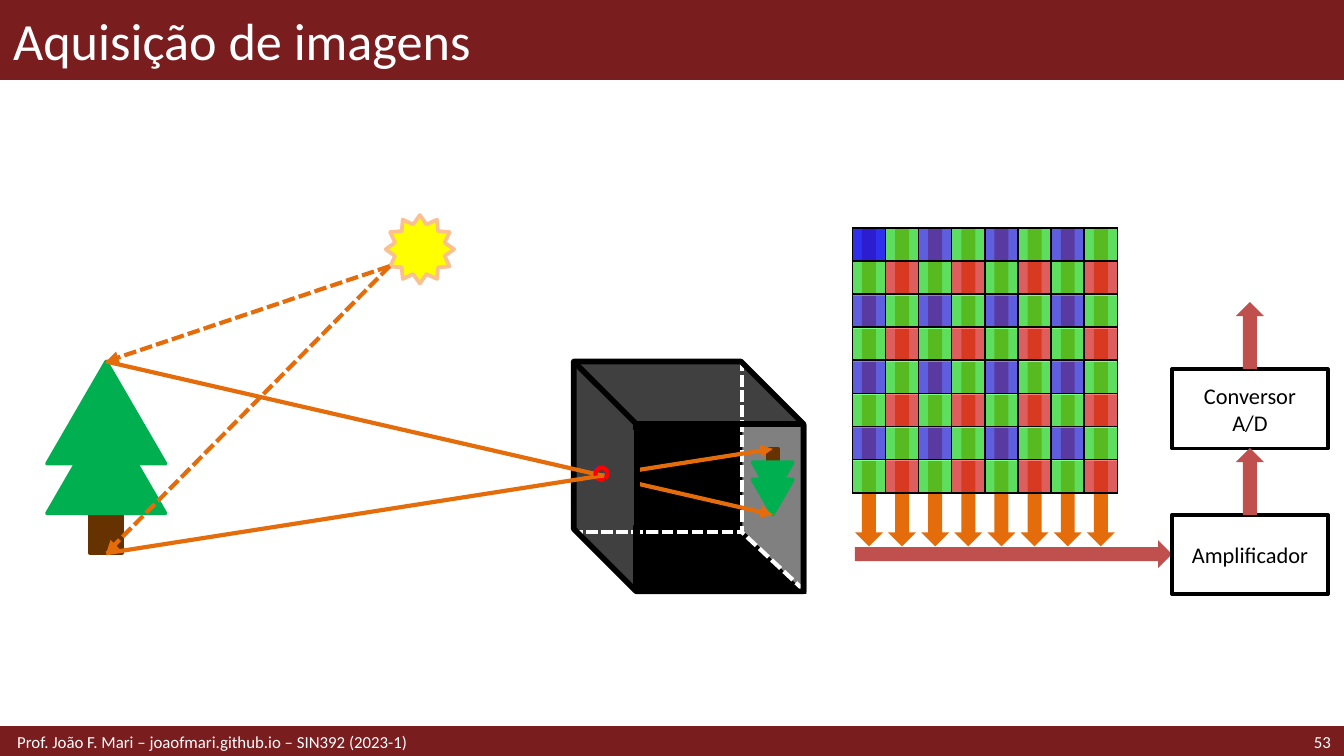
from lxml.etree import SubElement
from pptx import Presentation
from pptx.dml.color import RGBColor
from pptx.enum.dml import MSO_LINE as Dash
from pptx.enum.shapes import MSO_CONNECTOR as Connector, MSO_SHAPE as Shape
from pptx.enum.text import MSO_ANCHOR as Anchor, PP_ALIGN as Align
from pptx.oxml.ns import qn
from pptx.util import Pt

COLORS = {
    "maroon": "791D1F", "white": "FFFFFF", "black": "000000",
    "orange": "E46C0A", "brick": "C0504D", "gray": "7F7F7F",
    "wall": "404040", "screen": "808080", "trunk": "663300",
    "leaf": "00B050", "sun": "FFFF00", "glow": "FAC090",
    "red": "FF0000", "green": "00FF00", "blue": "0000FF", "navy": "1F497D",
}
CELLS = 8
CELL = 17.75
GRID_LEFT = 456.6
GRID_TOP = 122


def rgb(name):
    return RGBColor.from_string(COLORS[name])


def style_line(line, color, width, dashed=False):
    line.color.rgb = rgb(color)
    line.width = Pt(width)
    if dashed:
        line.dash_style = Dash.SQUARE_DOT


def add_shape(slide, kind, box, fill=None, line=None, width=2, rotation=0,
              flips=(), adjustments=(), dashed=False):
    shape = slide.shapes.add_shape(kind, *(Pt(value) for value in box))
    shape.shadow.inherit = False
    shape.rotation = rotation
    for index, value in enumerate(adjustments):
        shape.adjustments[index] = value
    for flip in flips:
        shape._element.spPr.find(qn("a:xfrm")).set(flip, "1")
    if fill:
        shape.fill.solid()
        shape.fill.fore_color.rgb = rgb(fill)
    else:
        shape.fill.background()
    if line:
        style_line(shape.line, line, width, dashed)
    else:
        shape.line.fill.background()
    return shape


def add_line(slide, start, end, color, width=2.25, dashed=False, arrow=False):
    connector = slide.shapes.add_connector(
        Connector.STRAIGHT, *(Pt(value) for value in (*start, *end)))
    style_line(connector.line, color, width, dashed)
    if arrow:
        SubElement(connector.line._get_or_add_ln(), qn("a:tailEnd"), type="triangle")
    SubElement(connector._element.spPr, qn("a:effectLst"))


def write(shape, text, size, color, align=Align.LEFT):
    frame = shape.text_frame
    frame.word_wrap = True
    frame.vertical_anchor = Anchor.MIDDLE
    paragraph = frame.paragraphs[0]
    paragraph.text = text
    paragraph.alignment = align
    paragraph.font.name = "Calibri"
    paragraph.font.size = Pt(size)
    paragraph.font.color.rgb = rgb(color)


def add_text(slide, box, text, size, align=Align.LEFT, inset=7.2):
    text_box = slide.shapes.add_textbox(*(Pt(value) for value in box))
    write(text_box, text, size, "white", align)
    text_box.text_frame.margin_left = Pt(inset)


def add_block(slide, top, text):
    block = add_shape(slide, Shape.RECTANGLE, (627.9, top, 83.5, 42.5), "white", "black")
    write(block, text, 12, "black", Align.CENTER)


def add_solid(parent, color, alpha=100):
    fill = SubElement(parent, qn("a:solidFill"))
    value = SubElement(fill, qn("a:srgbClr"), val=COLORS[color])
    SubElement(value, qn("a:alpha"), val=str(alpha * 1000))


def style_cell(cell, color, alpha, border):
    cell.margin_left = cell.margin_right = cell.margin_top = cell.margin_bottom = 0
    SubElement(cell.text_frame.paragraphs[0]._p, qn("a:endParaRPr"), sz="800")
    properties = cell._tc.get_or_add_tcPr()
    for side in ("a:lnL", "a:lnR", "a:lnT", "a:lnB"):
        add_solid(SubElement(properties, qn(side), w=str(Pt(1))), border)
    add_solid(properties, color, alpha)


def add_grid(slide, top, border, cell_fill):
    side = Pt(CELL * CELLS)
    table = slide.shapes.add_table(
        CELLS, CELLS, Pt(GRID_LEFT), Pt(top), side, side).table
    table.first_row = table.horz_banding = False
    for index in range(CELLS):
        table.columns[index].width = table.rows[index].height = Pt(CELL)
    for row in range(CELLS):
        for column in range(CELLS):
            style_cell(table.cell(row, column), *cell_fill(row, column), border)


def gray_fill(row, column):
    return "gray", 50


def bayer_fill(row, column):
    if (row + column) % 2:
        return "green", 50
    return ("red" if row % 2 else "blue"), (50 if row or column else 75)


def add_frame(slide):
    add_shape(slide, Shape.RECTANGLE, (0, 0, 720, 42.5), "maroon", "maroon", 1)
    add_shape(slide, Shape.RECTANGLE, (0, 390, 720, 15), "maroon", "maroon")
    add_text(slide, (0, 0, 720, 42.5), "Aquisição de imagens", 28)
    add_text(slide, (638, 389.8, 82, 15), "53", 9, Align.RIGHT)
    add_text(slide, (0, 390, 496, 15),
             "Prof. João F. Mari – joaofmari.github.io – SIN392 (2023-1)", 9, inset=9.2)


def add_sensor(slide):
    for column in range(CELLS):
        center = GRID_LEFT + CELL * (column + 0.5)
        add_shape(slide, Shape.RIGHT_ARROW, (center - 85, 200.2, 170, 15),
                  "orange", rotation=90)
    add_grid(slide, GRID_TOP + 0.4, "white", gray_fill)
    add_shape(slide, Shape.RIGHT_ARROW, (457.9, 289.4, 170, 15), "brick")
    add_block(slide, 275.8, "Amplificador")
    add_block(slide, 197.8, "Conversor A/D")
    for top in (172.3, 250.5):
        add_shape(slide, Shape.RIGHT_ARROW, (651.6, top, 36, 15), "brick", rotation=270)
    add_grid(slide, GRID_TOP, "black", bayer_fill)


def add_tree(slide, trunk, crowns, flips=()):
    add_shape(slide, Shape.RECTANGLE, trunk, "trunk", "trunk", flips=flips)
    for crown in crowns:
        add_shape(slide, Shape.ISOSCELES_TRIANGLE, crown, "leaf", "leaf", flips=flips)


def add_camera(slide):
    for left, color in ((352.8, "screen"), (262.1, "wall")):
        add_shape(slide, Shape.PARALLELOGRAM, (left, 239, 123.1, 33.3), color,
                  rotation=90, adjustments=[1.002])
    add_shape(slide, Shape.PARALLELOGRAM, (307.4, 193.7, 123.1, 33.3), "wall",
              flips=["flipH"], adjustments=[1.002])
    add_shape(slide, Shape.OVAL, (318.5, 250.2, 6.5, 6.5), line="navy", width=2.25)
    add_tree(slide, (411.1, 240.5, 5.8, 10.8),
             [(403.2, top, 21.6, 18.7) for top in (257, 247.7)], ["flipH", "flipV"])
    add_shape(slide, Shape.RECTANGLE, (307.4, 193.7, 90, 91.2), line="white", dashed=True)
    add_line(slide, (431.3, 316.8), (397.4, 285.1), "white", dashed=True)


def add_scene(slide):
    add_tree(slide, (48.2, 265.7, 17.3, 30.5),
             [(25.2, top, 63.4, 54.7) for top in (193.7, 220.3)])
    add_shape(slide, Shape.CUBE, (307.4, 193.7, 123.1, 123.1), line="black", width=3,
              flips=["flipH"], adjustments=[0.272])
    pinhole = (319, 250.6, 6.5, 6.5)
    add_shape(slide, Shape.OVAL, pinhole, line="red", width=2.25)
    add_shape(slide, Shape.STAR_12_POINT, (206.6, 115.2, 36.7, 36.7), "sun", "glow")
    sun, top, base = (208.8, 142.6), (56.9, 193.7), (56.9, 296.4)
    for start, end, dashed in ((sun, top, True), (sun, base, True),
                               (top, (414, 275.8), False), (base, (414, 240.5), False)):
        add_line(slide, start, end, "orange", dashed=dashed, arrow=True)
    add_shape(slide, Shape.RECTANGLE, (324, 230.4, 16.6, 51.1), "wall")
    add_line(slide, (341.3, 226.8), (341.3, 316.8), "black", 3)
    add_shape(slide, Shape.ARC, pinhole, line="red", width=2.25,
              adjustments=[162.74 * 0.6, 52.87 * 0.6])


def main():
    presentation = Presentation()
    presentation.slide_width, presentation.slide_height = Pt(720), Pt(405)
    slide = presentation.slides.add_slide(presentation.slide_layouts[6])
    add_shape(slide, Shape.RECTANGLE, (342, 227.5, 90, 90.7), "black")
    add_frame(slide)
    add_sensor(slide)
    add_camera(slide)
    add_scene(slide)
    presentation.save("out.pptx")


if __name__ == "__main__":
    main()
